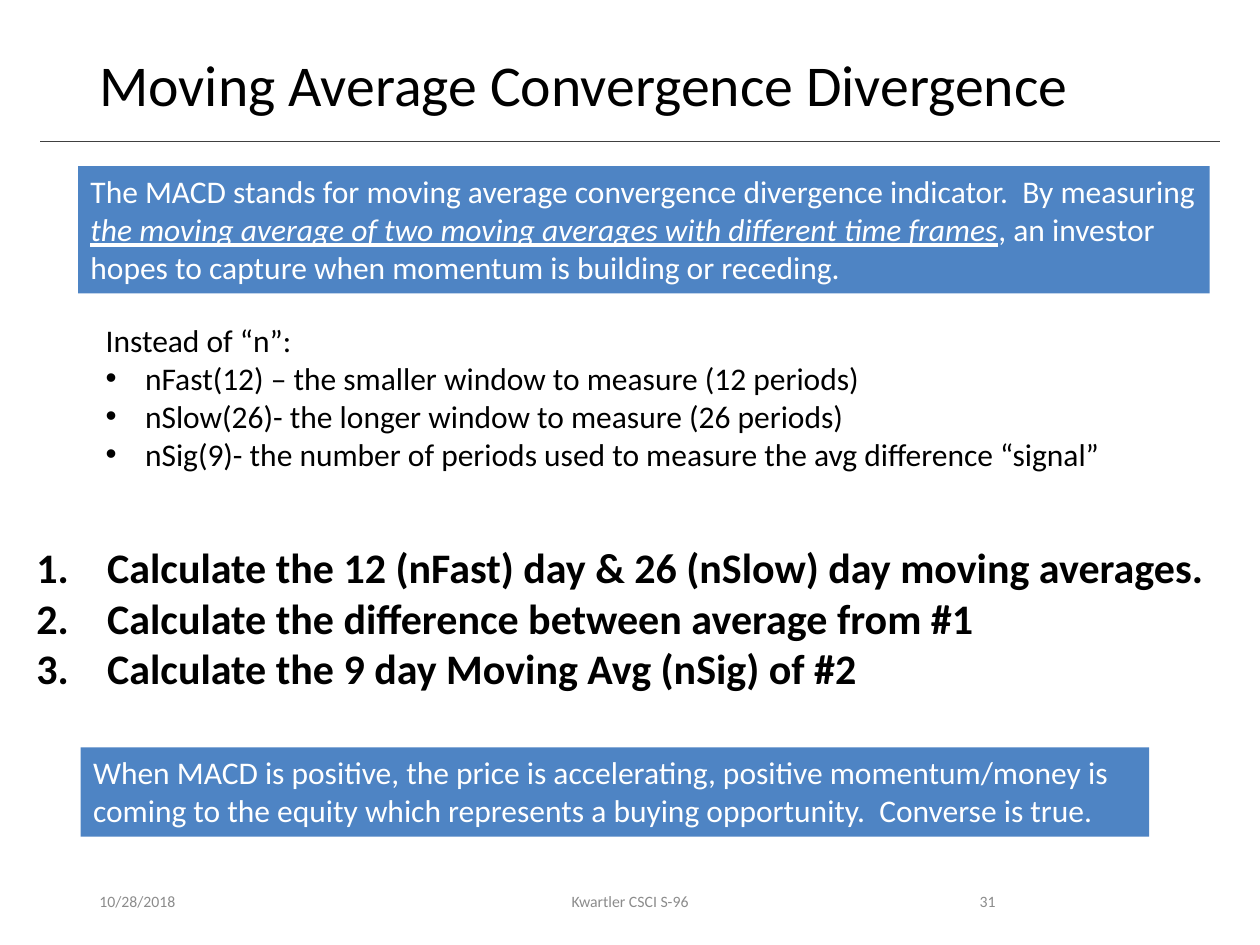
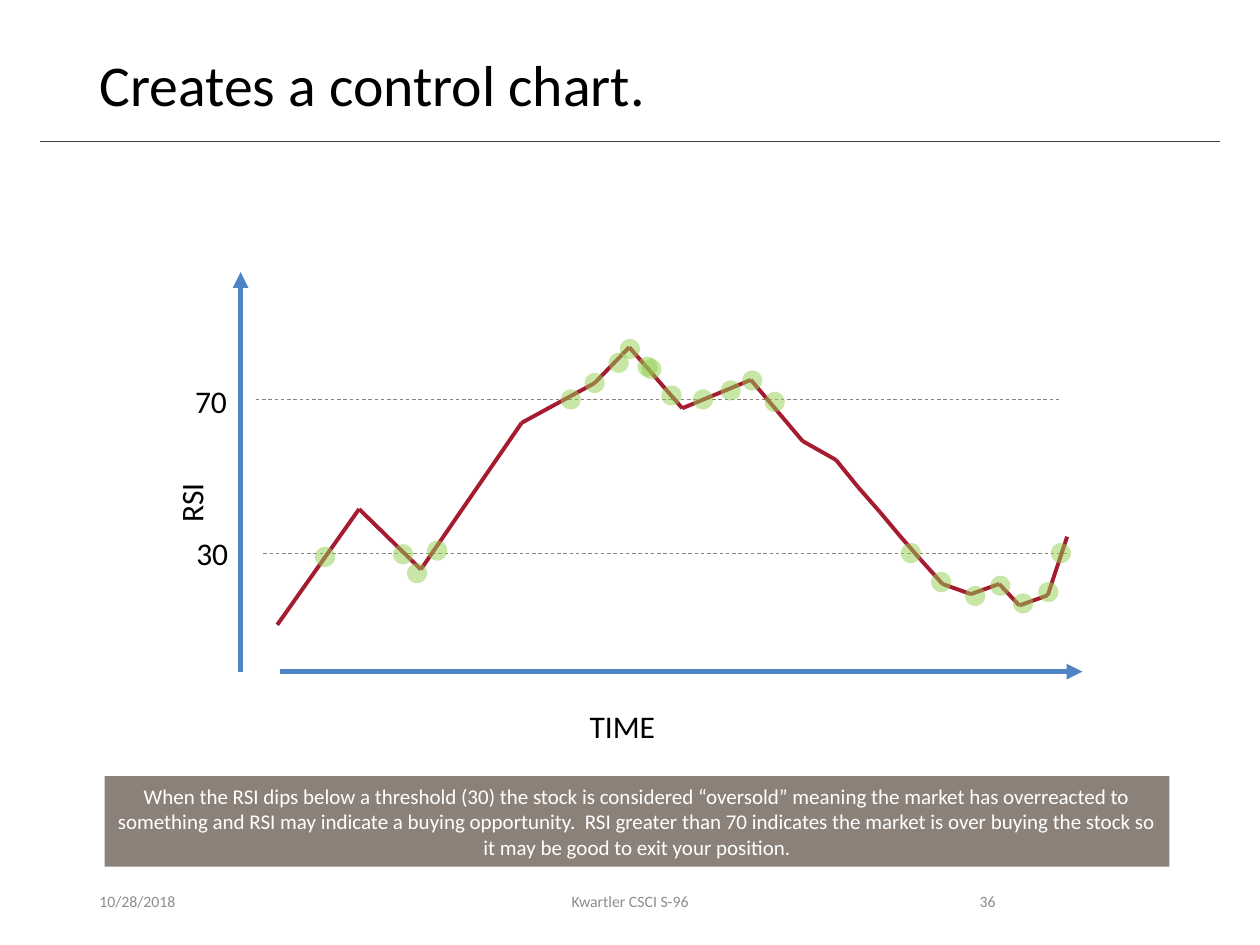
import itertools

import pptx
import pptx.dml.color
import pptx.enum.dml
import pptx.enum.shapes
import pptx.enum.text
import pptx.oxml
import pptx.oxml.ns
import pptx.util

Pt = pptx.util.Pt
SHAPE = pptx.enum.shapes.MSO_SHAPE
ALIGN = pptx.enum.text.PP_ALIGN
ANCHOR = pptx.enum.text.MSO_ANCHOR
FIT = pptx.enum.text.MSO_AUTO_SIZE

FONT = "Calibri"
BLACK, WHITE, GRAY, RULE = "000000", "FFFFFF", "8C8C8C", "404040"
BLUE, RED, GREEN, TAUPE = "4E84C4", "A51C30", "92D050", "8C8179"


def color(code):
    return pptx.dml.color.RGBColor.from_string(code)


def add_node(parent, tag, **attrs):
    node = pptx.oxml.parse_xml(f"<{tag} {pptx.oxml.ns.nsdecls('a')}/>")
    for name, value in attrs.items():
        node.set(name, str(value))
    parent.append(node)
    return node


class Deck:
    """Holds the style and the current slide."""

    def __init__(self):
        self.show = pptx.Presentation()
        self.show.slide_width, self.show.slide_height = Pt(720), Pt(540)
        self.slide = None

    def start(self, title, number):
        """Add a slide with its title, rule and footer."""
        self.slide = self.show.slides.add_slide(self.show.slide_layouts[6])
        self.line((23, 80.6), (697, 80.6), RULE, 0.5)
        head = self.text((49.7, 28.8, 620.6, 46.8), [title], 33, wrap=True)
        head.text_frame.paragraphs[0].line_spacing = 0.9
        footer = (
            (49.7, 162, "10/28/2018", ALIGN.LEFT),
            (238.3, 243.4, "Kwartler CSCI S-96", ALIGN.CENTER),
            (508.3, 67.7, number, ALIGN.RIGHT),
        )
        for left, width, words, align in footer:
            foot = self.text((left, 500.4, width, 28.8), [words], 9, GRAY, align, wrap=True)
            foot.text_frame.vertical_anchor = ANCHOR.MIDDLE

    def style(self, frame, size, code, align=ALIGN.LEFT, bold=False):
        for para in frame.paragraphs:
            para.alignment = align
            for run in para.runs:
                font = run.font
                font.name, font.size, font.bold = FONT, Pt(size), bold
                font.color.rgb = color(code)

    def text(self, place, lines, size=18, code=BLACK, align=ALIGN.LEFT, bold=False, wrap=False):
        box = self.slide.shapes.add_textbox(*map(Pt, place))
        frame = box.text_frame
        frame.text = "\n".join(lines)
        frame.word_wrap = wrap
        frame.auto_size = FIT.NONE if wrap else FIT.SHAPE_TO_FIT_TEXT
        self.style(frame, size, code, align, bold)
        return box

    def bullet(self, paras, indent, tag, **attrs):
        """Give paragraphs a hanging indent and a bullet or number."""
        for para in paras:
            props = para._p.get_or_add_pPr()
            props.set("marL", str(Pt(indent)))
            props.set("indent", str(-Pt(indent)))
            add_node(props, "a:buFont", typeface="Arial" if tag == "a:buChar" else "+mj-lt")
            add_node(props, tag, **attrs)

    def shape(self, kind, place, code):
        item = self.slide.shapes.add_shape(kind, *map(Pt, place))
        item.shadow.inherit = False
        item.fill.solid()
        item.fill.fore_color.rgb = color(code)
        item.line.fill.background()
        return item

    def note(self, place, parts, code=BLUE, size=18, align=ALIGN.LEFT, anchor=ANCHOR.TOP):
        """Add a filled box; every second part is italic and underlined."""
        frame = self.shape(SHAPE.RECTANGLE, place, code).text_frame
        frame.word_wrap, frame.vertical_anchor = True, anchor
        for rank, part in enumerate(parts):
            run = frame.paragraphs[0].add_run()
            run.text = part
            run.font.italic = run.font.underline = rank % 2 == 1
        self.style(frame, size, WHITE, align)

    def dot(self, left, top, size=11.5):
        item = self.shape(SHAPE.OVAL, (left, top, size, size), GREEN)
        fill = item._element.spPr.find(pptx.oxml.ns.qn("a:solidFill"))
        add_node(fill[0], "a:alpha", val=50000)

    def line(self, start, end, code, width, dash=False, arrow=False):
        kind = pptx.enum.shapes.MSO_CONNECTOR.STRAIGHT
        item = self.slide.shapes.add_connector(kind, *map(Pt, start + end))
        item.line.color.rgb = color(code)
        item.line.width = Pt(width)
        if dash:
            item.line.dash_style = pptx.enum.dml.MSO_LINE.DASH
        if arrow:
            add_node(item.line._get_or_add_ln(), "a:tailEnd", type="triangle")
        add_node(item._element.spPr, "a:effectLst")


def macd(deck):
    deck.start("Moving Average Convergence Divergence", "31")
    deck.note((44.6, 95, 646.6, 72.7), [
        "The MACD stands for moving average convergence divergence indicator.  By measuring ",
        "the moving average of two moving averages with different time frames",
        ", an investor hopes to capture when momentum is building or receding.",
    ])

    # Calculation steps
    steps = deck.text((13.7, 306, 687.6, 94.3), [
        "Calculate the 12 (nFast) day & 26 (nSlow) day moving averages.",
        "Calculate the difference between average from #1",
        "Calculate the 9 day Moving Avg (nSig) of #2",
    ], 24, bold=True)
    deck.bullet(steps.text_frame.paragraphs, 40.5, "a:buAutoNum", type="arabicPeriod")

    # Function inputs
    inputs = deck.text((53.3, 180, 584.6, 94.3), [
        "Instead of “n”:",
        "nFast(12) – the smaller window to measure (12 periods)",
        "nSlow(26)- the longer window to measure (26 periods)",
        "nSig(9)- the number of periods used to measure the avg difference “signal”",
    ])
    deck.bullet(inputs.text_frame.paragraphs[1:], 22.5, "a:buChar", char="•")

    deck.note((46.1, 427, 610.6, 51.1), [
        "When MACD is positive, the price is accelerating, positive momentum/money is "
        "coming to the equity which represents a buying opportunity.  Converse is true.",
    ])


def control(deck):
    deck.start("Creates a control chart.", "36")

    # Axes and their names
    deck.line((159.8, 383.8), (618.5, 383.8), BLUE, 3, arrow=True)
    deck.line((137.5, 383.8), (137.5, 155.5), BLUE, 3, arrow=True)
    deck.text((329.8, 400.3, 52.6, 28.8), ["TIME"])
    deck.text((88.6, 270.7, 41, 28.8), ["RSI"]).rotation = 270

    # Thresholds
    for left, level, mark, side, top in (
        (146.2, 228.2, "70", 104.4, 214.6),
        (150.5, 316.1, "30", 105.1, 301.7),
    ):
        deck.line((left, level), (left + 459, level), TAUPE, 0.5, dash=True)
        deck.text((side, top, 33.1, 28.8), [mark])

    # RSI curve
    curve = (
        (158.4, 357.1), (205.2, 290.9), (240.5, 325.4), (298.1, 241.6), (339.8, 218.9),
        (359.6, 198.4), (389.9, 233.3), (429.1, 217.1), (458.6, 252), (477.7, 262.8),
        (490.3, 278.3), (502.9, 292.7), (514.4, 306.4), (526, 319.7), (538.6, 333.7),
        (554.8, 339.5), (571, 333.7), (582.5, 346), (598.7, 340.2), (609.8, 306.7),
    )
    for start, end in itertools.pairwise(curve):
        deck.line(start, end, RED, 2.25)

    # Signal dots
    dots = (
        (180, 312.5), (224.6, 311), (244.1, 308.9), (320.4, 222.5), (334.1, 213.1),
        (347.8, 201.6), (354.2, 193.7), (364.3, 203.8), (378, 220.3), (366.5, 205.2),
        (396, 222.5), (411.8, 217.4), (424.1, 211.7), (232.6, 321.8), (437, 223.9),
        (514.8, 310.3), (532.1, 326.9), (551.5, 334.8), (565.9, 329), (578.9, 339.1),
        (593.3, 332.6), (600.5, 310.3),
    )
    for left, top in dots:
        deck.dot(left, top)

    deck.note((59.8, 443.5, 608.4, 51.8), [
        "When the RSI dips below a threshold (30) the stock is considered “oversold” meaning "
        "the market has overreacted to something and RSI may indicate a buying opportunity.  "
        "RSI greater than 70 indicates the market is over buying the stock so it may be good "
        "to exit your position.",
    ], TAUPE, 12, ALIGN.CENTER, ANCHOR.MIDDLE)


def main():
    deck = Deck()
    macd(deck)
    control(deck)
    deck.show.save("out.pptx")


if __name__ == "__main__":
    main()
